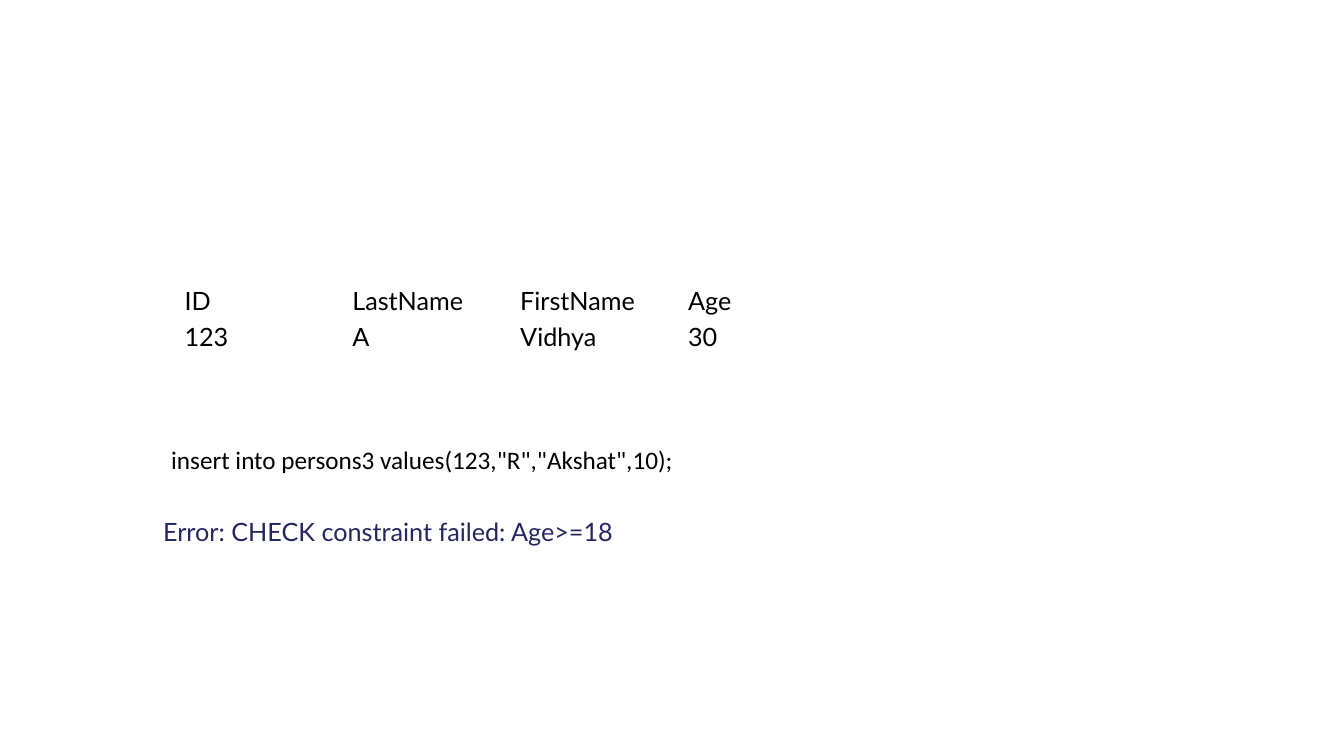
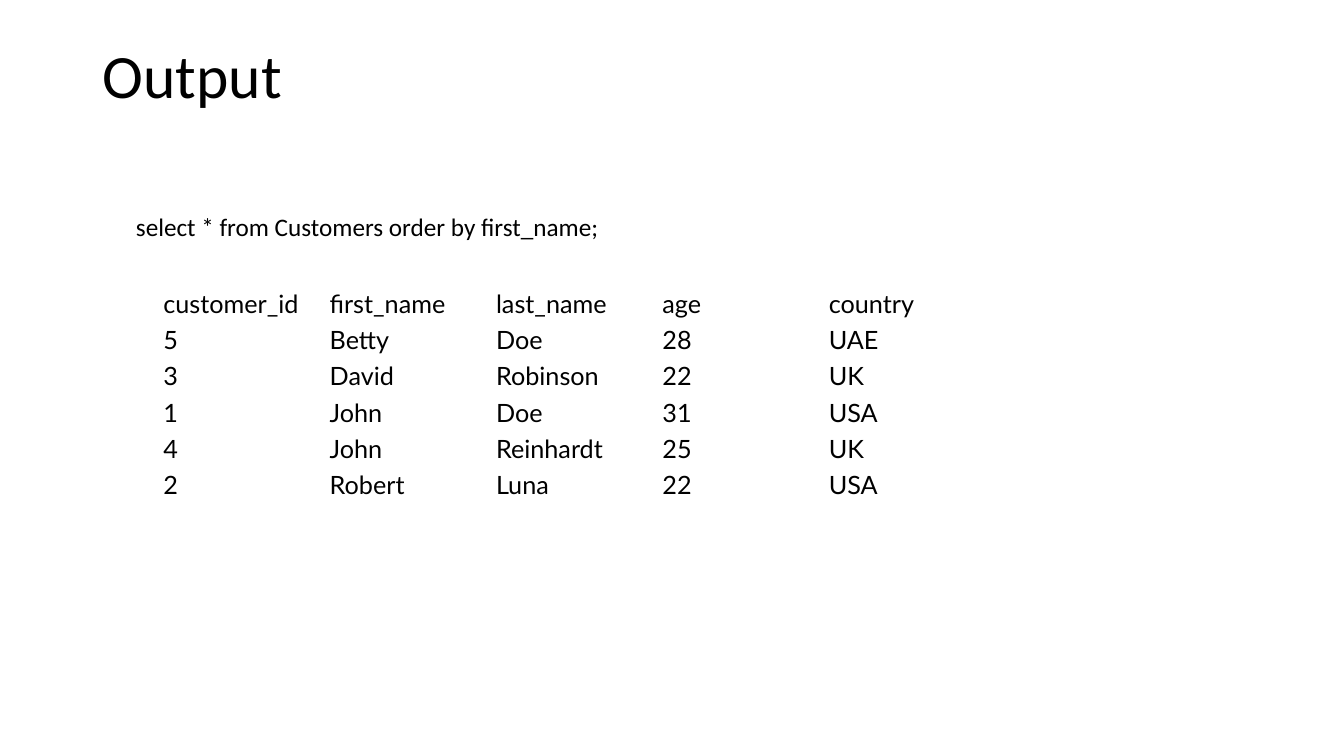
from pptx import Presentation
from pptx.dml.color import RGBColor
from pptx.enum.text import MSO_ANCHOR, MSO_AUTO_SIZE, PP_ALIGN
from pptx.util import Inches, Pt

BLACK = RGBColor(0x00, 0x00, 0x00)
WHITE = RGBColor(0xFF, 0xFF, 0xFF)
NAVY = RGBColor(0x25, 0x26, 0x5E)
CODE_FONT = "Calibri"
RESULT_FONT = "Lato"
TITLE_ONLY, BLANK = 5, 6
ROW_HEIGHT = 0.36

PERSONS = [
    ("ID", "LastName", "FirstName", "Age"),
    ("123", "A", "Vidhya", "30"),
]
CUSTOMERS = [
    ("customer_id", "first_name", "last_name", "age", "country"),
    ("5", "Betty", "Doe", "28", "UAE"),
    ("3", "David", "Robinson", "22", "UK"),
    ("1", "John", "Doe", "31", "USA"),
    ("4", "John", "Reinhardt", "25", "UK"),
    ("2", "Robert", "Luna", "22", "USA"),
]


def format_paragraph(paragraph, font_name, size=18, color=BLACK):
    paragraph.alignment = PP_ALIGN.LEFT
    paragraph.font.name = font_name
    paragraph.font.size = Pt(size)
    paragraph.font.color.rgb = color


def set_title(slide, text):
    title = slide.shapes.title
    title.left, title.top = Inches(0.92), Inches(0.4)
    title.width, title.height = Inches(11.5), Inches(1.45)
    frame = title.text_frame
    frame.text = text
    frame.vertical_anchor = MSO_ANCHOR.TOP
    heading = frame.paragraphs[0]
    heading.line_spacing = 0.9
    format_paragraph(heading, CODE_FONT, 44)


def add_line(slide, text, left, top, width, font_name, color=BLACK):
    """Add one line of SQL or of its response."""
    box = slide.shapes.add_textbox(
        Inches(left), Inches(top), Inches(width), Inches(0.4))
    frame = box.text_frame
    frame.word_wrap = True
    frame.auto_size = MSO_AUTO_SIZE.SHAPE_TO_FIT_TEXT
    frame.text = text
    format_paragraph(frame.paragraphs[0], font_name, color=color)


def fill_cell(cell, text):
    cell.text = text
    cell.fill.solid()
    cell.fill.fore_color.rgb = WHITE
    cell.vertical_anchor = MSO_ANCHOR.MIDDLE
    cell.margin_left = cell.margin_right = Inches(0.15)
    cell.margin_top = cell.margin_bottom = Inches(0.03)
    format_paragraph(cell.text_frame.paragraphs[0], RESULT_FONT)


def add_result_table(slide, records, left, top, column_width):
    row_count, column_count = len(records), len(records[0])
    table = slide.shapes.add_table(
        row_count, column_count, Inches(left), Inches(top),
        Inches(column_width * column_count),
        Inches(ROW_HEIGHT * row_count)).table
    table.first_row = False
    table.horz_banding = False
    for row, record in zip(table.rows, records):
        for cell, value in zip(row.cells, record):
            fill_cell(cell, value)


def build_check_slide(prs):
    slide = prs.slides.add_slide(prs.slide_layouts[BLANK])
    add_result_table(slide, PERSONS, 1.68, 2.8, 1.665)
    add_line(slide, 'insert into persons3 values(123,"R","Akshat",10);',
             1.6, 4.36, 6.67, CODE_FONT)
    add_line(slide, "Error: CHECK constraint failed: Age>=18",
             1.52, 5.07, 6.67, RESULT_FONT, NAVY)


def build_order_slide(prs):
    slide = prs.slides.add_slide(prs.slide_layouts[TITLE_ONLY])
    set_title(slide, "Output")
    add_result_table(slide, CUSTOMERS, 1.47, 2.83, 1.65)
    add_line(slide, "select * from Customers order by first_name;",
             1.25, 2.05, 8.16, CODE_FONT)


def main():
    prs = Presentation()
    prs.slide_width, prs.slide_height = Inches(13.33), Inches(7.5)
    build_check_slide(prs)
    build_order_slide(prs)
    prs.save("out.pptx")


if __name__ == "__main__":
    main()
